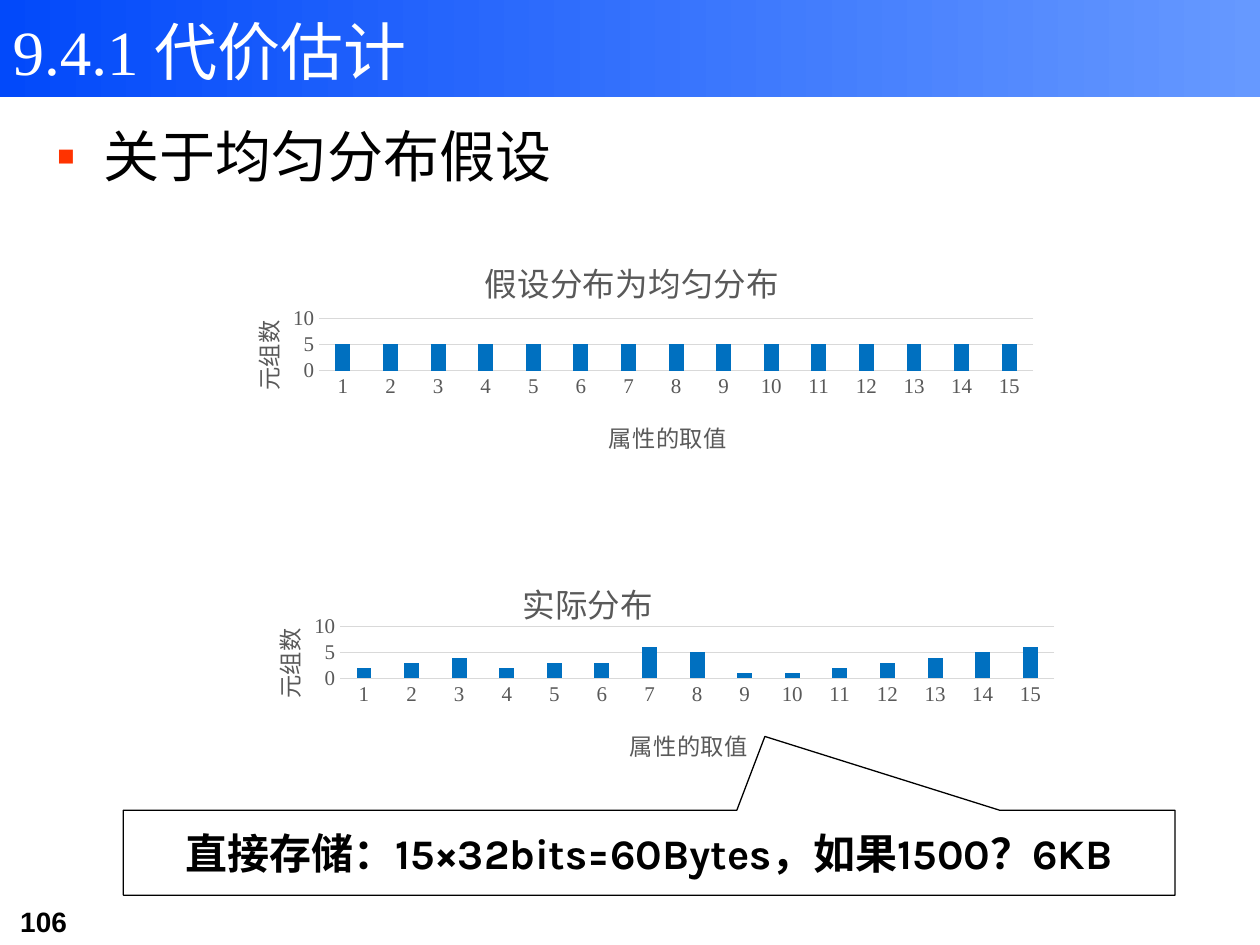
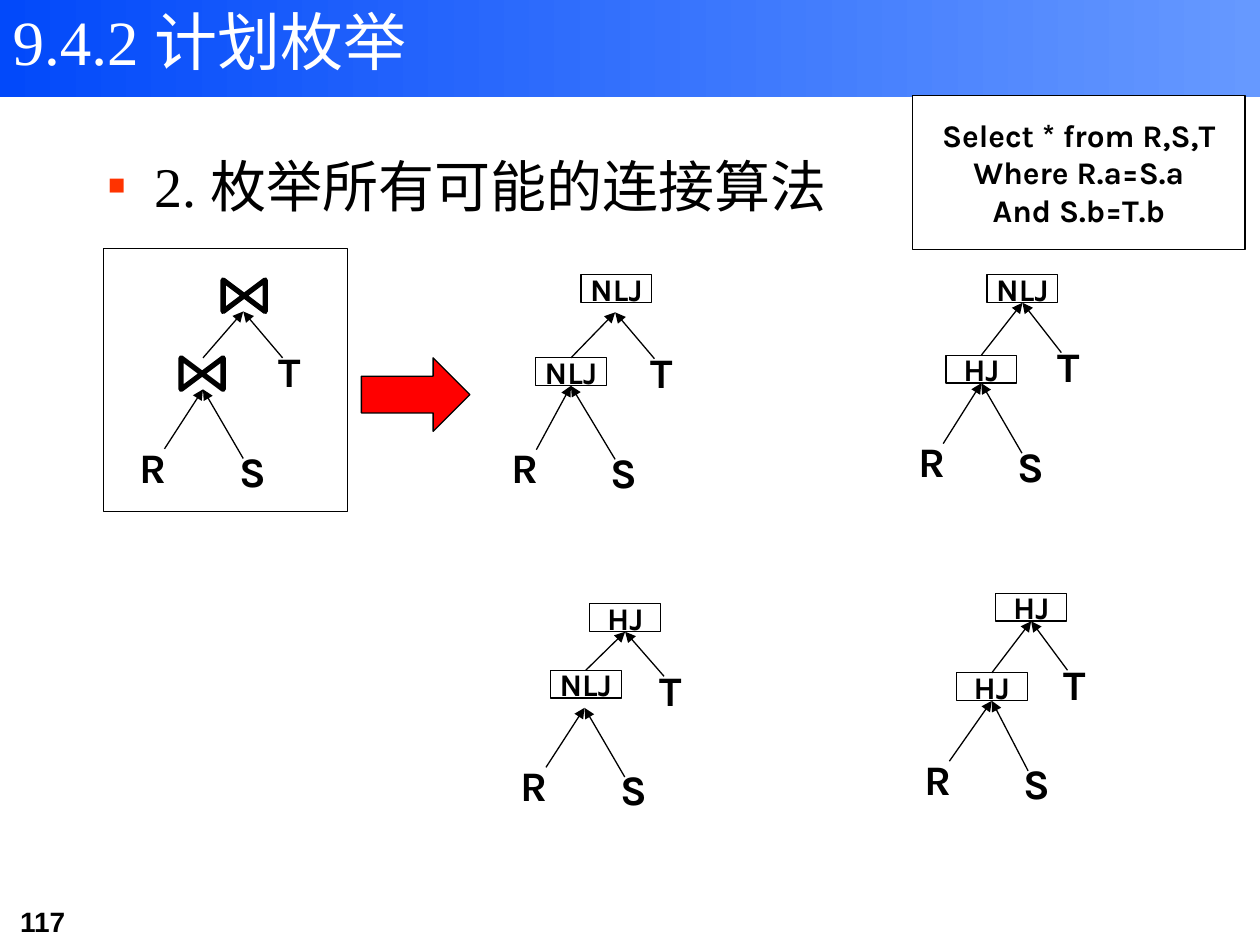
from dataclasses import dataclass
from math import hypot

from lxml.etree import SubElement
from pptx import Presentation
from pptx.chart.data import CategoryChartData
from pptx.dml.color import RGBColor
from pptx.enum.chart import XL_CHART_TYPE as ChartType, XL_TICK_MARK as Tick
from pptx.enum.shapes import MSO_CONNECTOR as Line, MSO_SHAPE as Shape
from pptx.enum.text import MSO_ANCHOR as Anchor, MSO_AUTO_SIZE as AutoSize, PP_ALIGN as Align
from pptx.oxml import parse_xml
from pptx.oxml.ns import nsdecls, qn
from pptx.util import Pt


@dataclass(frozen=True)
class Theme:
    ink: str = "000000"
    paper: str = "FFFFFF"
    band_start: str = "0249FA"
    band_end: str = "6699FF"
    bullet: str = "FF3300"
    bar: str = "0070C0"
    arrow: str = "FF0000"
    chart_text: str = "595959"
    grid: str = "D9D9D9"
    serif: str = "Times New Roman"
    label: str = "Karla"
    number: str = "Arial"
    title_size: float = 36
    body_size: float = 32
    label_size: float = 24
    box_size: float = 18
    number_size: float = 16
    chart_size: float = 10
    tick_size: float = 12
    axis_title_size: float = 13.3
    chart_title_size: float = 18.6
    thin: float = 0.75
    thick: float = 3


def rgb(value):
    return RGBColor.from_string(value)


def points(values):
    return [Pt(v) for v in values]


def style_font(font, name, size, color, bold=False):
    font.name, font.size, font.bold = name, Pt(size), bold
    font.color.rgb = rgb(color)


def place(parent, index, x, y, w=None, h=None):
    for old in parent.findall(qn("c:layout")):
        parent.remove(old)
    layout = parse_xml(f"<c:layout {nsdecls('c')}><c:manualLayout/></c:layout>")
    parts = [("xMode", "edge"), ("yMode", "edge"), ("x", x), ("y", y)]
    if w is not None:
        parts = [("layoutTarget", "inner")] + parts + [("w", w), ("h", h)]
    for tag, value in parts:
        SubElement(layout[0], qn(f"c:{tag}")).set("val", str(value))
    parent.insert(index, layout)


class Deck:
    def __init__(self, theme):
        self.theme = theme
        self.prs = Presentation()
        self.prs.slide_width, self.prs.slide_height = Pt(720), Pt(540)
        self.s = None

    def slide(self, title, title_top, number):
        t = self.theme
        self.s = self.prs.slides.add_slide(self.prs.slide_layouts[5])
        sp = self.s.shapes.title
        sp.left, sp.top, sp.width, sp.height = points((0, title_top, 553, 51))
        self.fill_text(sp.text_frame, title, t.serif, t.title_size, t.paper)
        band = self.shape(Shape.RECTANGLE, (0, 0, 720, 55.5), width=None)
        band.fill.gradient()
        band.fill.gradient_angle = 0
        for stop, color in zip(band.fill.gradient_stops, (t.band_start, t.band_end)):
            stop.color.rgb = rgb(color)
        self.s.shapes.element.insert(2, band.element)
        self.text(number, (4.5, 513.5, 88, 26.5), t.number, t.number_size, True)

    def fill_text(self, tf, text, name, size, color, bold=False, align=Align.LEFT,
                  anchor=Anchor.TOP, wrap=True):
        tf.text = text
        tf.word_wrap, tf.auto_size, tf.vertical_anchor = wrap, AutoSize.NONE, anchor
        for p in tf.paragraphs:
            p.alignment = align
            for r in p.runs:
                style_font(r.font, name, size, color, bold)

    def text(self, text, box, name, size, bold=False):
        sp = self.s.shapes.add_textbox(*points(box))
        self.fill_text(sp.text_frame, text, name, size, self.theme.ink, bold)
        return sp

    def bullet(self, text, box):
        t = self.theme
        sp = self.text(text, box, t.serif, t.body_size)
        pPr = sp.text_frame.paragraphs[0]._p.get_or_add_pPr()
        pPr.set("marL", str(Pt(27)))
        pPr.set("indent", str(-Pt(27)))
        color = SubElement(pPr, qn("a:buClr"))
        SubElement(color, qn("a:srgbClr")).set("val", t.bullet)
        SubElement(pPr, qn("a:buFont")).set("typeface", t.serif)
        SubElement(pPr, qn("a:buChar")).set("char", "▪")

    def shape(self, kind, box, fill=None, width=Theme.thin):
        sp = self.s.shapes.add_shape(kind, *points(box))
        sp.shadow.inherit = False
        if fill:
            sp.fill.solid()
            sp.fill.fore_color.rgb = rgb(fill)
        else:
            sp.fill.background()
        if width:
            sp.line.color.rgb = rgb(self.theme.ink)
            sp.line.width = Pt(width)
        else:
            sp.line.fill.background()
        return sp

    def box(self, text, box, size, kind=Shape.RECTANGLE):
        t = self.theme
        sp = self.shape(kind, box, t.paper)
        self.fill_text(sp.text_frame, text, t.label, size, t.ink, True,
                       Align.CENTER, Anchor.MIDDLE, False)
        return sp

    def arrow(self, start, end, boxes):
        c = self.s.shapes.add_connector(Line.STRAIGHT, *points(start + end))
        c.line.color.rgb = rgb(self.theme.ink)
        c.line.width = Pt(self.theme.thin)
        SubElement(c.element.xpath(".//a:ln")[0], qn("a:tailEnd")).set("type", "triangle")
        SubElement(c.element.spPr, qn("a:effectLst"))
        for box in boxes:
            middle = box.left + box.width / 2
            for site, side in ((0, box.top), (2, box.top + box.height)):
                for (x, y), connect in ((start, c.begin_connect), (end, c.end_connect)):
                    if hypot(Pt(x) - middle, Pt(y) - side) <= Pt(4):
                        connect(box, site)

    def chart_title(self, title, text, size, x, y):
        title.text_frame.text = text
        for r in title.text_frame.paragraphs[0].runs:
            style_font(r.font, self.theme.serif, size, self.theme.chart_text)
        place(title.element, 1, x, y)

    def chart(self, title, title_at, values, box):
        t = self.theme
        data = CategoryChartData()
        data.categories = [str(n) for n in range(1, len(values) + 1)]
        data.add_series("Series 1", values)
        chart = self.s.shapes.add_chart(ChartType.COLUMN_CLUSTERED, *points(box), data).chart
        style_font(chart.font, t.serif, t.chart_size, t.ink)
        chart.has_legend = False
        self.chart_title(chart.chart_title, title, t.chart_title_size, *title_at)
        place(chart.element.xpath(".//c:plotArea")[0], 0, 0.13, 0.38, 0.85, 0.21)

        plot = chart.plots[0]
        plot.gap_width, plot.overlap, plot.vary_by_categories = 219, -27, False
        fill = plot.series[0].format.fill
        fill.solid()
        fill.fore_color.rgb = rgb(t.bar)

        cat, val = chart.category_axis, chart.value_axis
        for axis, name, at in ((cat, "属性的取值", (0.47, 0.76)), (val, "元组数", (0.04, 0.37))):
            axis.major_tick_mark = axis.minor_tick_mark = Tick.NONE
            style_font(axis.tick_labels.font, t.serif, t.tick_size, t.chart_text)
            self.chart_title(axis.axis_title, name, t.axis_title_size, *at)
        val.axis_title.element.xpath(".//a:bodyPr")[0].set("rot", "-5400000")
        val.minimum_scale, val.maximum_scale, val.major_unit = 0, 10, 5
        val.has_major_gridlines = True
        val.format.line.fill.background()
        for line in (cat.format.line, val.major_gridlines.format.line):
            line.color.rgb = rgb(t.grid)
            line.width = Pt(t.thin)

    def join_tree(self, x, y, boxes=()):
        t = self.theme
        join, root = (x, y), (x + 23, y - 44.5)
        for dx, dy, end in ((-22, 34, join), (23, 39.5, join), (0, -18, root), (45.5, -18, root)):
            self.arrow((x + dx, y + dy), end, boxes)
        for name, dx, dy in (("R", -43.5, 26), ("S", 13.5, 28.5), ("T", 36, -28.5)):
            self.text(name, (x + dx, y + dy, 26.5, 36), t.label, t.label_size, True)


def cost_estimation(deck):
    t = deck.theme
    deck.slide("9.4.1 代价估计", 3.6, "106")
    deck.bullet("关于均匀分布假设", (25, 66, 675, 414))
    deck.chart("假设分布为均匀分布", (0.32, 0.1), [5] * 15, (120, 128, 480, 142))
    actual = [2, 3, 4, 2, 3, 3, 6, 5, 1, 1, 2, 3, 4, 5, 6]
    deck.chart("实际分布", (0.34, 0.15), actual, (132, 304, 480, 142))
    callout = deck.box("直接存储：15×32bits=60Bytes，如果1500？6KB", (70.5, 463, 601, 48.5),
                       t.label_size, Shape.RECTANGULAR_CALLOUT)
    callout.adjustments[0], callout.adjustments[1] = 0.11, -1.37


def plan_enumeration(deck):
    t = deck.theme
    deck.slide("9.4.2 计划枚举", -2, "117")
    deck.bullet("2. 枚举所有可能的连接算法", (54, 83, 612, 397))
    for left, top in ((130.5, 157), (106.5, 201.5)):
        bowtie = deck.shape(Shape.FLOWCHART_COLLATE, (left, top, 18, 24), width=t.thick)
        bowtie.rotation = 90
    deck.join_tree(116, 222.5)
    deck.shape(Shape.RECTANGLE, (59, 142, 139.5, 150.5))
    deck.box("Select * from R,S,T\nWhere R.a=S.a\nAnd S.b=T.b", (521.5, 54.5, 190, 88), t.box_size)
    deck.shape(Shape.RIGHT_ARROW, (206.5, 204.5, 62, 42), t.arrow)
    plans = [
        ((328.5, 223), ("NLJ", 332, 157), ("NLJ", 306, 204.5)),
        ((561, 219.5), ("NLJ", 564, 157), ("HJ", 540.5, 203)),
        ((334, 404.5), ("HJ", 337, 345), ("NLJ", 314.5, 383)),
        ((564.5, 401), ("HJ", 569, 339), ("HJ", 546.5, 384.5)),
    ]
    for join, *methods in plans:
        boxes = [deck.box(name, (x, y, 40.5, 16), t.box_size) for name, x, y in methods]
        deck.join_tree(*join, boxes)


def main():
    deck = Deck(Theme())
    cost_estimation(deck)
    plan_enumeration(deck)
    deck.prs.save("out.pptx")


if __name__ == "__main__":
    main()
